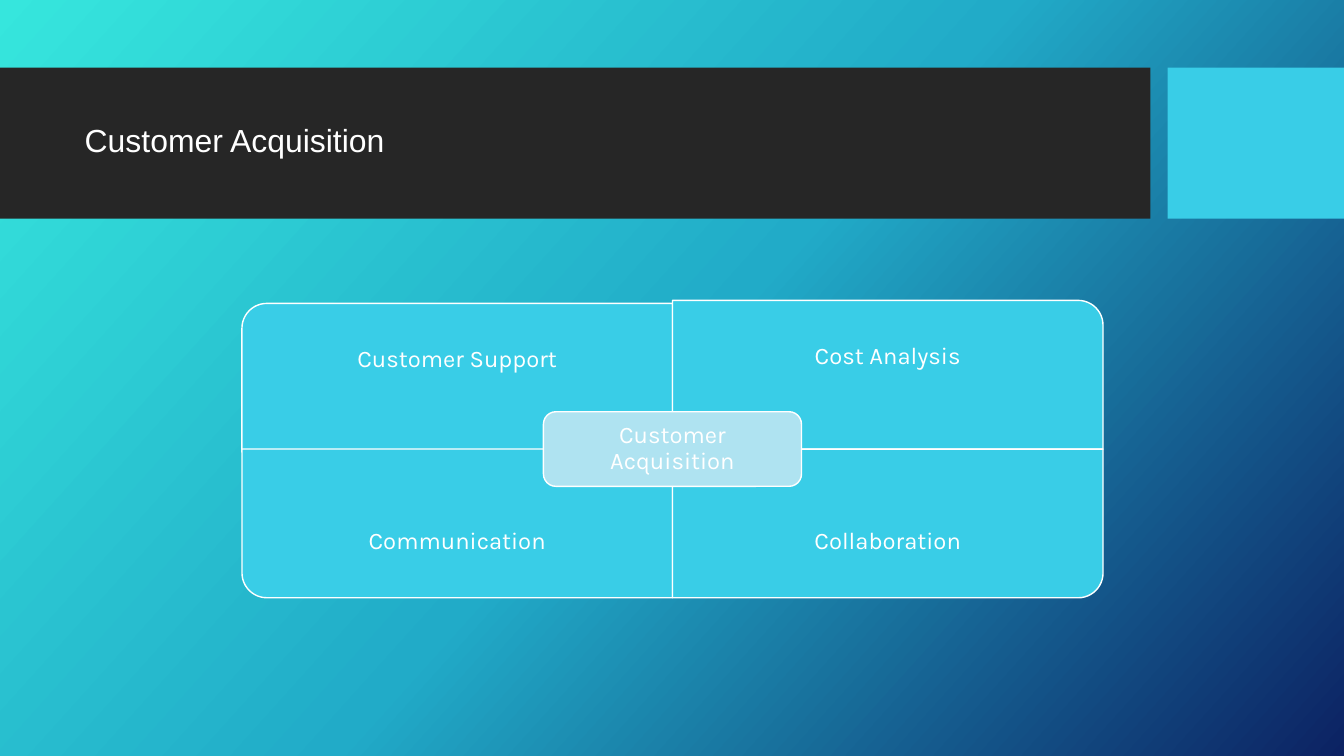
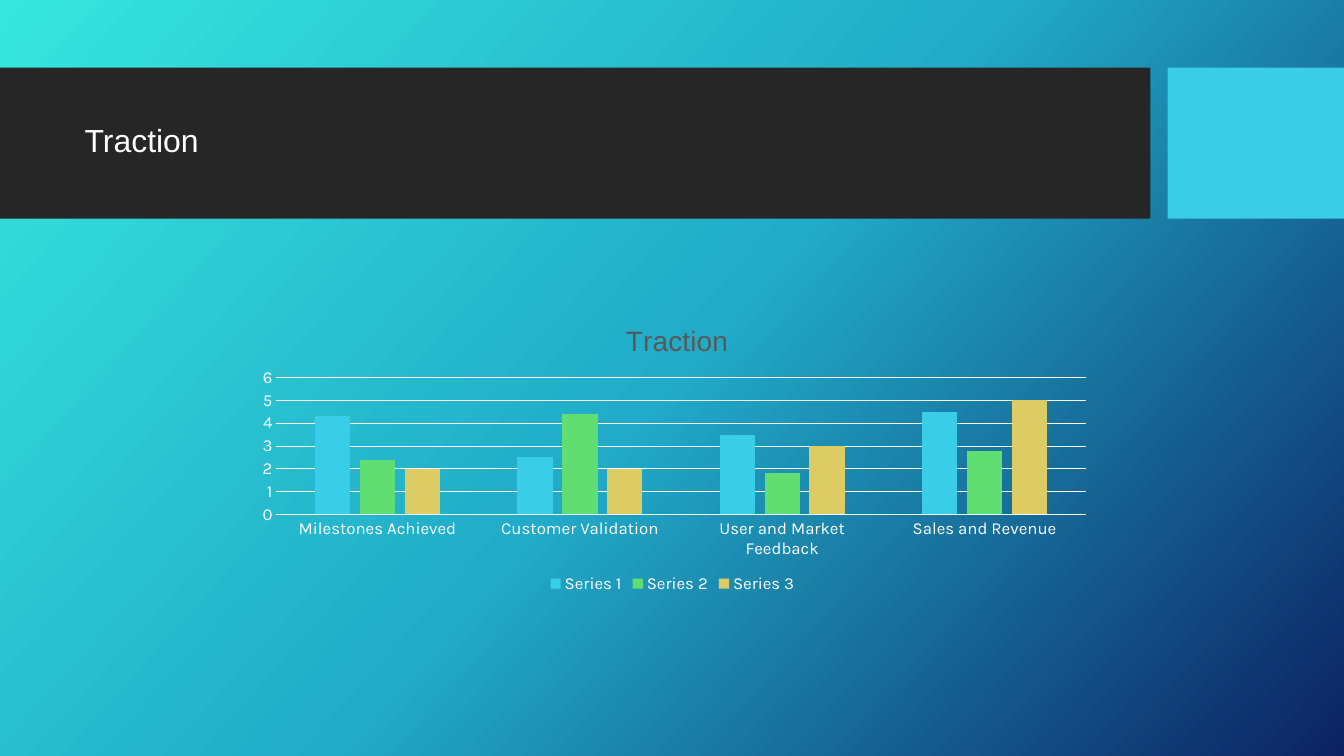
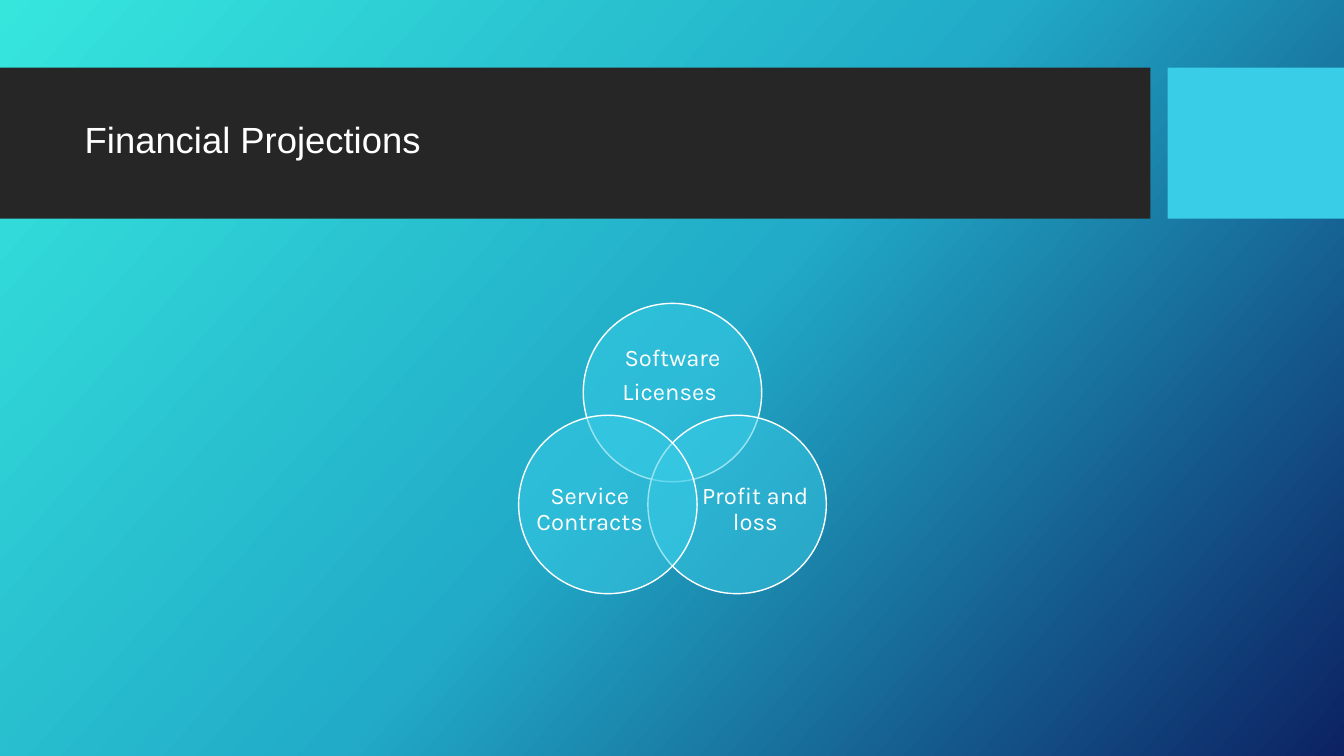
from dataclasses import dataclass
from math import cos, radians, sin

from pptx import Presentation
from pptx.chart.data import CategoryChartData as ChartData
from pptx.dml.color import RGBColor as RGB
from pptx.enum.chart import XL_CHART_TYPE as Chart, XL_LEGEND_POSITION as Legend
from pptx.enum.chart import XL_TICK_MARK as Tick
from pptx.enum.shapes import MSO_SHAPE as Shape
from pptx.enum.text import MSO_ANCHOR as Anchor, MSO_AUTO_SIZE as Fit, PP_ALIGN as Align
from pptx.oxml import parse_xml
from pptx.oxml.ns import nsdecls, qn
from pptx.oxml.xmlchemy import OxmlElement as Node
from pptx.util import Inches, Pt


@dataclass(frozen=True)
class Theme:
    white: str = "FFFFFF"
    dark: str = "262626"
    cyan: str = "39CDE7"
    pale: str = "AFE3F1"
    grey: str = "595959"
    bars: tuple = ("39CDE7", "60DE72", "DDCC64")
    back: tuple = ((0, "36E6DD"), (50, "21ABC8"), (100, "0C2263"))
    angle: int = 42
    head: str = "Arial"
    body: str = "Karla"
    title: float = 22.8
    large: float = 26
    label: float = 17
    caption: float = 20
    axis: float = 12
    edge: float = 1
    grid: float = 0.75


T = Theme()
AREA = (2.4, 2.98, 8.54, 2.95)


# Shared helpers
def apply(item, **values):
    for name, value in values.items():
        setattr(item, name, value)


def style(font, size, face=T.body, color=T.white):
    apply(font, size=Pt(size), name=face, bold=False)
    font.color.rgb = RGB.from_string(color)


def place(item, box):
    for name, value in zip(("left", "top", "width", "height"), box):
        setattr(item, name, Inches(value))


def stroke(line, width):
    line.color.rgb = RGB.from_string(T.white)
    line.width = Pt(width)


def block(slide, kind, box, color, line=True):
    shape = slide.shapes.add_shape(kind, *map(Inches, box))
    shape.shadow.inherit = False
    shape.fill.solid()
    shape.fill.fore_color.rgb = RGB.from_string(color)
    if line:
        stroke(shape.line, T.edge)
    else:
        shape.line.fill.background()
    return shape


def write(shape, lines, inset=0.0):
    frame = shape.text_frame
    pad = Inches(inset)
    apply(frame, word_wrap=True, vertical_anchor=Anchor.MIDDLE, margin_left=pad,
          margin_right=pad, margin_top=pad, margin_bottom=pad)
    frame.text = lines
    for para in frame.paragraphs:
        apply(para, alignment=Align.CENTER, line_spacing=0.9, space_after=Pt(6))
        style(para.runs[0].font, T.label)


def label(slide, box, lines, inset=0.0):
    write(slide.shapes.add_textbox(*map(Inches, box)), lines, inset)


# Background, bands and title place, set once on the layout
def set_back(master):
    fill = master.background.fill
    fill.gradient()
    fill.gradient_angle = 360 - T.angle
    stops = "".join(
        f'<a:gs pos="{pos * 1000}"><a:srgbClr val="{color}"/></a:gs>'
        for pos, color in T.back)
    old = next(master.element.iter(qn("a:gsLst")))
    old.getparent().replace(
        old, parse_xml(f'<a:gsLst {nsdecls("a")}>{stops}</a:gsLst>'))


def set_bands(layout, slide):
    bands = (((0, 0.67, 11.41, 1.5), T.dark), ((11.58, 0.67, 1.75, 1.5), T.cyan))
    for order, (box, color) in enumerate(bands):
        band = block(slide, Shape.RECTANGLE, box, color, line=False).element
        band.xpath("p:nvSpPr/p:cNvPr")[0].set("id", str(90 + order))
        layout.shapes.element.insert(2 + order, band)


def set_layout(layout):
    for holder in list(layout.placeholders):
        if holder.placeholder_format.idx == 0:
            place(holder, (0.74, 0.82, 10.51, 1.18))
        else:
            holder.element.getparent().remove(holder.element)


def set_title(slide, text, size=T.title):
    frame = slide.shapes.title.text_frame
    frame.text = text
    apply(frame, vertical_anchor=Anchor.MIDDLE, word_wrap=True, auto_size=Fit.NONE)
    para = frame.paragraphs[0]
    apply(para, alignment=Align.JUSTIFY, line_spacing=0.9)
    style(para.runs[0].font, size, T.head)


# Four quarters around a core
def matrix(slide, area, names, core):
    left, top, wide, high = area
    w, h, text_h = wide / 2, high / 2, 1.11
    turns = (270, 0, 180, 90)
    for spot, (name, turn) in enumerate(zip(names, turns)):
        row, col = divmod(spot, 2)
        x, y = left + col * w, top + row * h + (0.03 if spot == 0 else 0)
        box = (x, y, w, h)
        if turn in (90, 270):
            box = (x + (w - h) / 2, y + (h - w) / 2, h, w)
        block(slide, Shape.ROUND_1_RECTANGLE, box, T.cyan).rotation = turn
        label(slide, (x, y + row * (h - text_h), w, text_h), name, 0.13)
    w, h = 2.56, 0.74
    box = (left + (wide - w) / 2, top + (high - h) / 2, w, h)
    write(block(slide, Shape.ROUNDED_RECTANGLE, box, T.pale), core, 0.1)


# Column chart
def pin(parent, **parts):
    layout = parent.find(qn("c:layout"))
    if layout is None:
        layout = Node("c:layout")
        parent.insert(0, layout)
    manual = Node("c:manualLayout")
    layout.append(manual)
    for name, value in parts.items():
        part = Node(f"c:{name}")
        part.set("val", str(value))
        manual.append(part)


def columns(slide, area, title, cats, rows):
    data = ChartData()
    data.categories = cats
    for name, values in rows:
        data.add_series(name, values)
    chart = slide.shapes.add_chart(
        Chart.COLUMN_CLUSTERED, *map(Inches, area), data).chart
    style(chart.font, T.axis)

    # Title and legend
    frame = chart.chart_title.text_frame
    frame.text = title
    style(frame.paragraphs[0].runs[0].font, T.caption, T.head, T.grey)
    apply(chart, has_legend=True)
    apply(chart.legend, position=Legend.BOTTOM, include_in_layout=False)
    style(chart.legend.font, T.axis)

    # Axes
    cat, val = chart.category_axis, chart.value_axis
    for axis in (cat, val):
        apply(axis, major_tick_mark=Tick.NONE, minor_tick_mark=Tick.NONE)
        style(axis.tick_labels.font, T.axis)
    stroke(cat.format.line, T.grid)
    apply(val, minimum_scale=0, maximum_scale=6, major_unit=1)
    val.format.line.fill.background()
    stroke(val.major_gridlines.format.line, T.grid)

    # Columns
    plot = chart.plots[0]
    apply(plot, gap_width=219, overlap=-27, vary_by_categories=False)
    for series, color in zip(plot.series, T.bars):
        series.format.fill.solid()
        series.format.fill.fore_color.rgb = RGB.from_string(color)

    # Fixed places inside the chart
    edge = {"xMode": "edge", "yMode": "edge"}
    pin(chart.chart_title.element if hasattr(chart.chart_title, "element")
        else next(chart.element.iter(qn("c:title"))), **edge, x=0.44, y=0.06)
    pin(next(chart.element.iter(qn("c:plotArea"))), layoutTarget="inner",
        **edge, x=0.04, y=0.26, w=0.94, h=0.46)


# Three circles that overlap
def venn(slide, area, items):
    left, top, wide, high = area
    mid_x, mid_y = left + wide / 2, top + high / 2 + 0.18
    size, reach = 1.77, 0.74
    for angle, text, (dx, dy), (w, h) in items:
        x = mid_x + reach * cos(radians(angle))
        y = mid_y + reach * sin(radians(angle))
        ring = block(slide, Shape.OVAL,
                     (x - size / 2, y - size / 2, size, size), T.cyan)
        alpha = Node("a:alpha")
        alpha.set("val", "50000")
        ring.element.spPr.find(qn("a:solidFill"))[0].append(alpha)
        label(slide, (x + dx - w / 2, y + dy - h / 2, w, h), text)


def main():
    deck = Presentation()
    apply(deck, slide_width=Inches(13.33), slide_height=Inches(7.5))
    layout = deck.slide_layouts[5]
    set_back(deck.slide_master)
    set_layout(layout)

    # Customer acquisition
    slide = deck.slides.add_slide(layout)
    set_bands(layout, slide)
    set_title(slide, "Customer Acquisition")
    matrix(slide, AREA,
           ("Customer Support", "Cost Analysis", "Communication", "Collaboration"),
           "Customer Acquisition")

    # Traction
    slide = deck.slides.add_slide(layout)
    set_title(slide, "Traction")
    columns(slide, AREA, "Traction",
            ("Milestones Achieved", "Customer Validation",
             "User and Market Feedback", "Sales and Revenue"),
            (("Series 1", (4.3, 2.5, 3.5, 4.5)),
             ("Series 2", (2.4, 4.4, 1.8, 2.8)),
             ("Series 3", (2, 2, 3, 5))))

    # Financial projections
    slide = deck.slides.add_slide(layout)
    set_title(slide, "Financial Projections", T.large)
    side = (1.06, 0.97)
    venn(slide, AREA,
         ((-90, "Software\nLicenses ", (0, -0.17), (1.3, 0.8)),
          (30, "Profit and loss", (0.18, 0.05), side),
          (150, "Service Contracts", (-0.18, 0.05), side)))

    deck.save("out.pptx")


if __name__ == "__main__":
    main()
